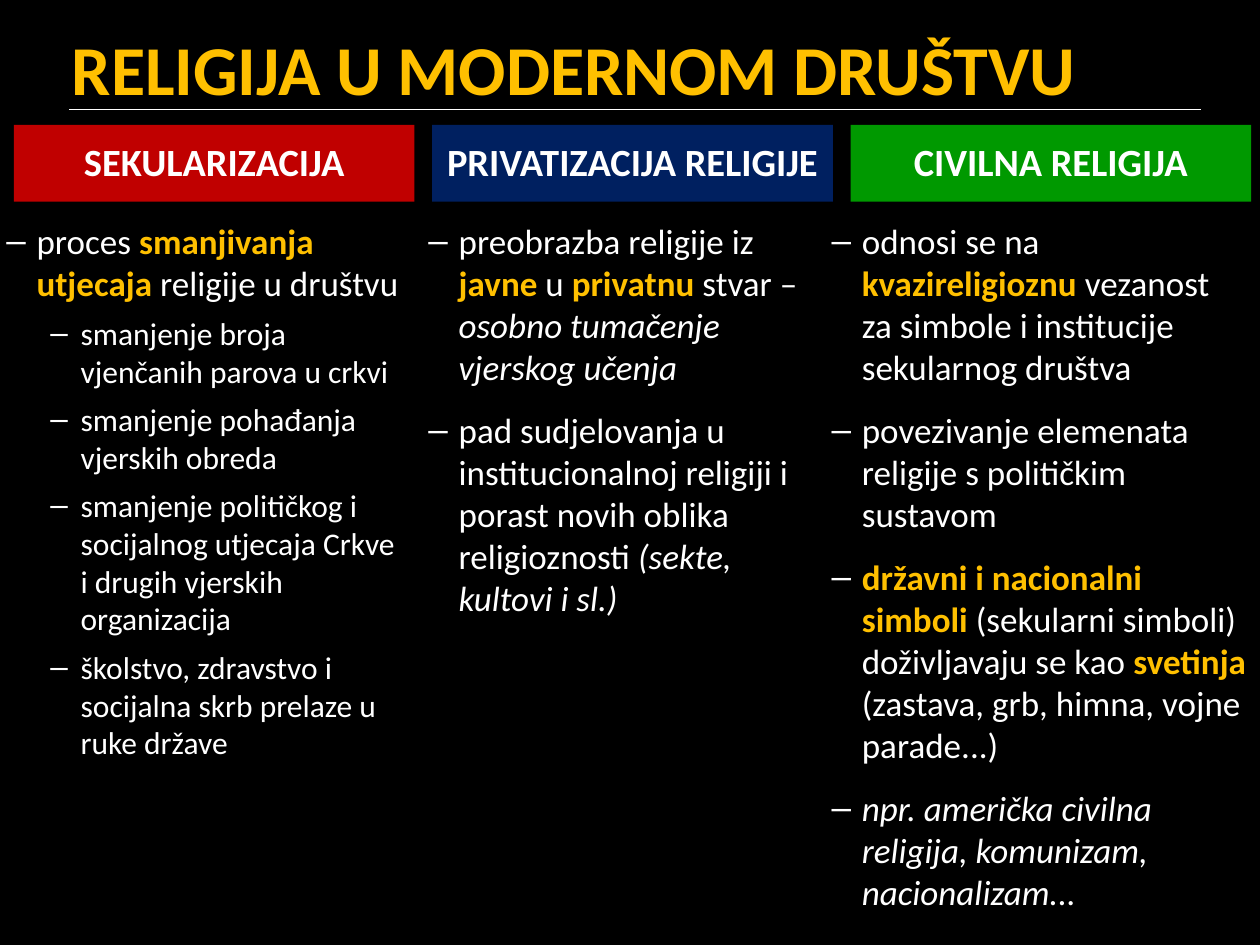
from lxml.etree import SubElement
from pptx import Presentation
from pptx.dml.color import RGBColor
from pptx.enum.shapes import MSO_CONNECTOR, MSO_SHAPE
from pptx.enum.text import MSO_ANCHOR as ANCHOR, MSO_AUTO_SIZE as AUTO, PP_ALIGN as ALIGN
from pptx.oxml.ns import qn
from pptx.util import Inches, Pt

WHITE, GOLD = "FFFFFF", "FFC000"
PLAIN, KEY, ITALIC = "plain", "key", "italic"

# Each list item: level, then its (text, style) runs
COLUMNS = [
    ("SEKULARIZACIJA", "C00000", (-0.05, 1.69, 3.37, 4.44), [
        (0, [("proces ", PLAIN), ("smanjivanja utjecaja ", KEY),
             ("religije u društvu", PLAIN)]),
        (1, [("smanjenje broja vjenčanih parova u crkvi", PLAIN)]),
        (1, [("smanjenje pohađanja vjerskih obreda", PLAIN)]),
        (1, [("smanjenje političkog i socijalnog utjecaja Crkve "
              "i drugih vjerskih organizacija", PLAIN)]),
        (1, [("školstvo, zdravstvo i socijalna skrb prelaze u ruke države", PLAIN)]),
    ]),
    ("PRIVATIZACIJA RELIGIJE", "002060", (3.3, 1.69, 3.32, 3.3), [
        (0, [("preobrazba religije iz ", PLAIN), ("javne ", KEY), ("u ", PLAIN),
             ("privatnu ", KEY), ("stvar –", PLAIN),
             (" osobno tumačenje vjerskog učenja", ITALIC)]),
        (0, [("pad sudjelovanja u institucionalnoj religiji i porast "
              "novih oblika religioznosti ", PLAIN),
             ("(sekte, kultovi i sl.)", ITALIC)]),
    ]),
    ("CIVILNA RELIGIJA", "009900", (6.5, 1.69, 3.5, 5.65), [
        (0, [("odnosi se na ", PLAIN), ("kvazireligioznu ", KEY),
             ("vezanost za simbole i institucije sekularnog društva", PLAIN)]),
        (0, [("povezivanje elemenata religije s političkim sustavom", PLAIN)]),
        (0, [("državni i nacionalni simboli ", KEY),
             ("(sekularni simboli) doživljavaju se kao ", PLAIN),
             ("svetinja ", KEY),
             ("(zastava, grb, himna, vojne parade...)", PLAIN)]),
        (0, [("npr. američka civilna religija, komunizam, nacionalizam...", ITALIC)]),
    ]),
]


def rgb(color):
    return RGBColor.from_string(color)


class SlideBuilder:
    font = "Calibri"
    list_sizes = (20, 18)
    list_indents = (0.24, 0.59)
    list_spacing = (12, 6)
    hanging = 0.24

    def __init__(self, slide, background):
        self.slide = slide
        fill = slide.background.fill
        fill.solid()
        fill.fore_color.rgb = rgb(background)

    def style(self, r, size, color=WHITE, bold=False, italic=False):
        r.font.name, r.font.size = self.font, Pt(size)
        r.font.bold, r.font.italic = bold, italic
        r.font.color.rgb = rgb(color)

    def place(self, sp, box):
        sp.left, sp.top, sp.width, sp.height = map(Inches, box)

    def title(self, text, box):
        sp = self.slide.shapes.title
        self.place(sp, box)
        tf = sp.text_frame
        tf.text = text
        tf.auto_size, tf.vertical_anchor = AUTO.NONE, ANCHOR.MIDDLE
        p = tf.paragraphs[0]
        p.alignment = ALIGN.LEFT
        self.style(p.runs[0], 40, GOLD, bold=True)

    def rule(self, x1, x2, y):
        line = self.slide.shapes.add_connector(
            MSO_CONNECTOR.STRAIGHT, Inches(x1), Inches(y), Inches(x2), Inches(y))
        line.line.color.rgb = rgb(WHITE)
        line.line.width = Pt(1)
        SubElement(line._element.spPr, qn("a:effectLst"))

    def heading(self, text, color, box):
        sp = self.slide.shapes.add_shape(MSO_SHAPE.RECTANGLE, *map(Inches, box))
        sp.shadow.inherit = False
        sp.fill.solid()
        sp.fill.fore_color.rgb = rgb(color)
        sp.line.fill.background()
        tf = sp.text_frame
        tf.text = text
        tf.vertical_anchor = ANCHOR.MIDDLE
        p = tf.paragraphs[0]
        p.alignment, p.line_spacing = ALIGN.CENTER, 0.93
        self.style(p.runs[0], 22, bold=True)

    def dash(self, p, level):
        """Give the paragraph a white dash bullet with a hanging indent."""
        pPr = p._p.get_or_add_pPr()
        pPr.set("marL", str(Inches(self.list_indents[level])))
        pPr.set("indent", str(-Inches(self.hanging)))
        color = SubElement(pPr, qn("a:buClr"))
        SubElement(color, qn("a:srgbClr")).set("val", WHITE)
        SubElement(pPr, qn("a:buFont")).set("typeface", "Arial")
        SubElement(pPr, qn("a:buChar")).set("char", "–")

    def bullets(self, sp, items, box):
        self.place(sp, box)
        tf = sp.text_frame
        tf.word_wrap, tf.vertical_anchor = True, ANCHOR.TOP
        tf.auto_size = AUTO.SHAPE_TO_FIT_TEXT
        for i, (level, runs) in enumerate(items):
            p = tf.paragraphs[0] if i == 0 else tf.add_paragraph()
            p.level = level
            self.dash(p, level)
            p.space_before = Pt(self.list_spacing[level] if i else 0)
            for text, kind in runs:
                r = p.add_run()
                r.text = text
                self.style(r, self.list_sizes[level], GOLD if kind == KEY else WHITE,
                           bold=kind == KEY, italic=kind == ITALIC)


def main():
    prs = Presentation()
    prs.slide_width, prs.slide_height = Inches(10), Inches(7.5)
    s = prs.slides.add_slide(prs.slide_layouts.get_by_name("Comparison"))
    builder = SlideBuilder(s, "000000")

    builder.title("RELIGIJA U MODERNOM DRUŠTVU", (0.47, 0.14, 9.77, 0.79))
    builder.rule(0.55, 9.53, 0.87)

    _, *bodies, spare = list(s.placeholders)
    spare._element.getparent().remove(spare._element)
    for i, (body, (name, color, box, items)) in enumerate(zip(bodies, COLUMNS)):
        builder.heading(name, color, (0.11 + i * 3.32, 0.99, 3.18, 0.61))
        builder.bullets(body, items, box)

    prs.save("out.pptx")


if __name__ == "__main__":
    main()
